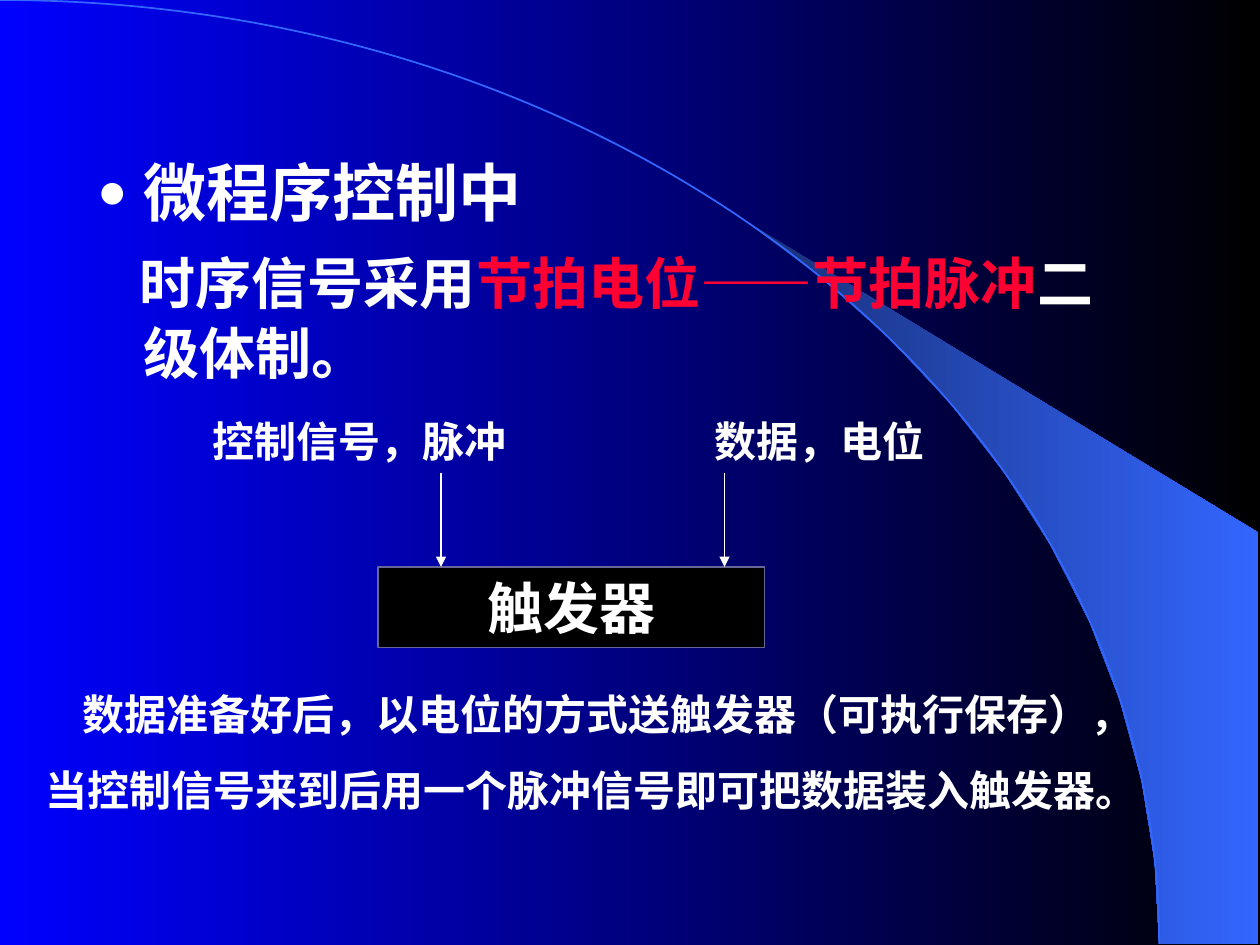
import math

from lxml import etree
from pptx import Presentation
from pptx import util as u
from pptx.dml.color import RGBColor
from pptx.enum import shapes, text
from pptx.oxml import ns

WHITE, RED, BLUE, BLACK = "FFFFFF", "FF0033", "3366FF", "000000"
CJK = "Noto Sans CJK SC"


def paint(fill, *colours):
    """Fill with one colour, or with a left-to-right gradient of two."""
    if len(colours) == 1:
        fill.solid()
        fill.fore_color.rgb = RGBColor.from_string(colours[0])
        return
    fill.gradient()
    fill.gradient_angle = 0
    for stop, colour in zip(fill.gradient_stops, colours):
        stop.color.rgb = RGBColor.from_string(colour)


def style(run, size, colour=WHITE, latin=CJK):
    run.font.size = u.Pt(size)
    run.font.bold = True
    paint(run.font.fill, colour)
    run.font.name = latin
    ea = etree.Element(ns.qn("a:ea"), typeface=CJK)
    run.font._element.find(ns.qn("a:latin")).addnext(ea)


prs = Presentation()
prs.slide_width, prs.slide_height = u.Inches(10), u.Inches(7.5)
slide = prs.slides.add_slide(prs.slide_layouts[1])
paint(slide.background.fill, "0000FF", BLACK)
title = slide.shapes.title._element
title.getparent().remove(title)

# Quarter ellipse across the slide, and the beam that leaves it at 40 degrees
radius_x, radius_y = 9.2, 7.49
right, beam_top = 9.99, 4.23
beam_edge = [(radius_x * math.sin(math.radians(a)),
              radius_y * (1 - math.cos(math.radians(a)))) for a in range(40, 91, 5)]
beam_points = beam_edge + [(right, radius_y), (right, beam_top)]
arc_controls = [(0, 0), (5.08, 0), (radius_x, 3.35), (radius_x, radius_y)]
outlines = []
for points, closed in ((beam_points, True), (arc_controls, False)):
    start, *others = [(u.Inches(x), u.Inches(y)) for x, y in points]
    builder = slide.shapes.build_freeform(*start)
    builder.add_line_segments(others, close=closed)
    outline = builder.convert_to_shape()
    outline.shadow.inherit = False
    outlines.append(outline)
beam, arc = outlines
paint(beam.fill, "182F76", BLUE)
beam.line.fill.background()
arc.fill.background()
paint(arc.line.fill, BLUE)
arc.line.width = u.Pt(1)

# The three segments of the arc become the points of one Bézier curve
segments = list(arc._element.iter(ns.qn("a:lnTo")))
curve = etree.SubElement(segments[0].getparent(), ns.qn("a:cubicBezTo"))
for segment in segments:
    curve.append(segment[0])
    segment.getparent().remove(segment)

# Bulleted heading and statement, in front of the beam
body = slide.placeholders[1]
slide.shapes._spTree.append(body._element)
body.left, body.top = u.Inches(0.67), u.Inches(1.17)
body.width, body.height = u.Inches(8.5), u.Inches(2.08)
frame = body.text_frame
frame.auto_size = text.MSO_AUTO_SIZE.NONE
heading, statement = frame.paragraphs[0], frame.add_paragraph()
for paragraph, first_line, gap in ((heading, -0.37, 0), (statement, -0.03, 10)):
    props = paragraph._p.get_or_add_pPr()
    props.set("marL", str(u.Inches(0.37)))
    props.set("indent", str(u.Inches(first_line)))
    paragraph.space_before = u.Pt(gap)
    if paragraph is heading:
        colour = etree.SubElement(props, ns.qn("a:buClr"))
        etree.SubElement(colour, ns.qn("a:srgbClr"), val=WHITE)
        etree.SubElement(props, ns.qn("a:buSzPct"), val="80000")
        etree.SubElement(props, ns.qn("a:buFont"), typeface="Times New Roman")
        etree.SubElement(props, ns.qn("a:buChar"), char="●")
    else:
        etree.SubElement(props, ns.qn("a:buNone"))
statement.line_spacing = 1.03
heading.text = "微程序控制中"
style(heading.runs[0], 36, latin="Times New Roman")
for words, colour, latin in (
    ("时序信号采用", WHITE, "Times New Roman"),
    ("节拍电位", RED, "Times New Roman"),
    ("——", RED, "Roboto"),
    ("节拍脉冲", RED, "Times New Roman"),
    ("二级体制。", WHITE, "Times New Roman"),
):
    run = statement.add_run()
    run.text = words
    style(run, 32, colour, latin)

# Trigger with its two input arrows
trigger_top = 4.5
trigger = slide.shapes.add_shape(
    shapes.MSO_SHAPE.RECTANGLE,
    u.Inches(3), u.Inches(trigger_top), u.Inches(3.07), u.Inches(0.64))
trigger.shadow.inherit = False
paint(trigger.fill, BLACK)
paint(trigger.line.fill, "666699")
trigger.line.width = u.Pt(0.75)
for x in (5.75, 3.5):
    arrow = slide.shapes.add_connector(
        shapes.MSO_CONNECTOR.STRAIGHT, u.Inches(x), u.Inches(3.75),
        u.Inches(x), u.Inches(trigger_top))
    paint(arrow.line.fill, WHITE)
    arrow.line.width = u.Pt(0.75)
    etree.SubElement(arrow.line._get_or_add_ln(), ns.qn("a:tailEnd"), type="triangle")
    etree.SubElement(arrow._element.spPr, ns.qn("a:effectLst"))

# Trigger name, input labels and explanation
data_label, control_label, explanation = (
    slide.shapes.add_textbox(*map(u.Inches, place)) for place in (
        (5.25, 3.25, 2.51, 0.5), (1.33, 3.25, 3.04, 0.5), (0.26, 5.41, 9.7, 1.11)))
for holder, size, align, lines in (
    (trigger, 32, text.PP_ALIGN.CENTER, ["触发器"]),
    (data_label, 24, text.PP_ALIGN.CENTER, ["数据，电位"]),
    (control_label, 24, text.PP_ALIGN.CENTER, ["控制信号，脉冲"]),
    (explanation, 24, text.PP_ALIGN.LEFT,
     ["数据准备好后，以电位的方式送触发器（可执行保存），",
      "当控制信号来到后用一个脉冲信号即可把数据装入触发器。"]),
):
    frame = holder.text_frame
    frame.word_wrap = True
    frame.auto_size = text.MSO_AUTO_SIZE.SHAPE_TO_FIT_TEXT
    frame.vertical_anchor = text.MSO_ANCHOR.MIDDLE
    frame.text = "\n".join(lines)
    for paragraph in frame.paragraphs:
        paragraph.alignment = align
        style(paragraph.runs[0], size)
opening, closing = explanation.text_frame.paragraphs
opening._p.get_or_add_pPr().set("indent", str(u.Inches(0.3)))
closing.space_before = u.Pt(15)

prs.save("out.pptx")
